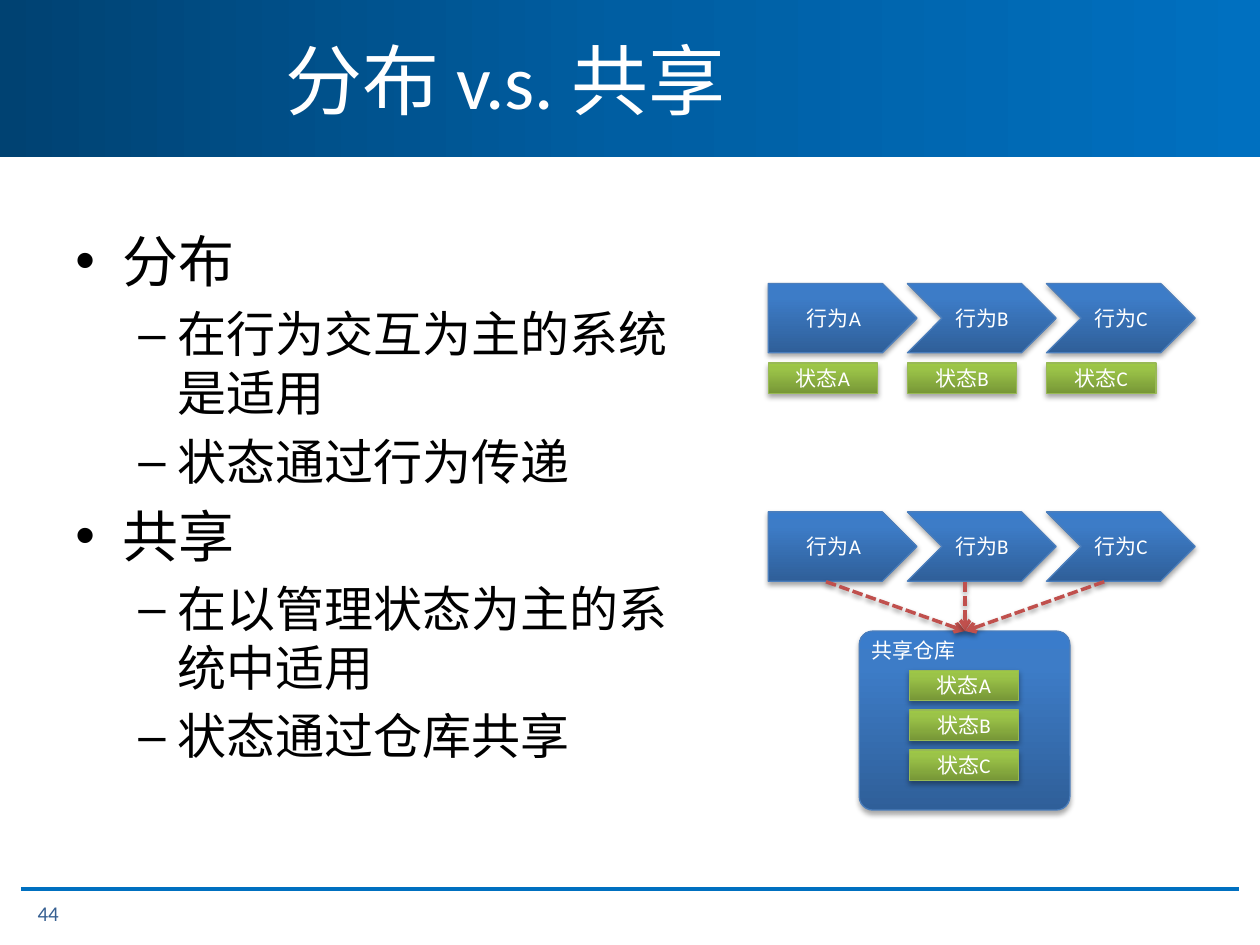
import pptx
import pptx.util
import pptx.oxml
import pptx.oxml.ns
import pptx.dml.color
import pptx.enum.dml
import pptx.enum.shapes
import pptx.enum.text

Pt = pptx.util.Pt
Kind = pptx.enum.shapes.MSO_SHAPE
Align = pptx.enum.text.PP_ALIGN
Anchor = pptx.enum.text.MSO_ANCHOR
SPACE = pptx.oxml.ns.nsdecls("a")


def hue(code):
    return pptx.dml.color.RGBColor.from_string(code)


def node(tag, attrs="", inner=""):
    return pptx.oxml.parse_xml(f"<a:{tag} {SPACE} {attrs}>{inner}</a:{tag}>")


def adjust(item, values):
    for name, value in values.items():
        setattr(item, name, value)


class Board:
    font = "Calibri"
    blue = [(0, "2F5F99"), (80, "3D7CC7"), (100, "3A7CCB")]
    green = [(0, "779737"), (80, "9BC348"), (100, "9DC746")]
    bar = [(0, "004272"), (50, "005EA2"), (100, "0070C0")]

    def __init__(self, slide):
        self.slide = slide

    def shade(self, shape, alpha, dist):
        effect = node("effectLst")
        effect.append(node(
            "outerShdw",
            f'blurRad="{Pt(3.1)}" dist="{Pt(dist)}" dir="5400000" rotWithShape="0"',
            f'<a:srgbClr val="000000"><a:alpha val="{alpha * 1000}"/></a:srgbClr>'))
        props = shape.element.spPr
        for old in props.findall(pptx.oxml.ns.qn("a:effectLst")):
            props.remove(old)
        props.append(effect)

    def label(self, shape, rows, size, color, align=Align.LEFT, anchor=Anchor.TOP):
        frame = shape.text_frame
        adjust(frame, {"word_wrap": True, "vertical_anchor": anchor})
        for place, text in enumerate(rows):
            para = frame.paragraphs[0] if place == 0 else frame.add_paragraph()
            para.alignment = align
            run = para.add_run()
            run.text = text
            adjust(run.font, {"name": self.font, "size": Pt(size)})
            run.font.color.rgb = hue(color)
        return frame

    def text(self, box, rows, size, color, anchor=Anchor.TOP):
        shape = self.slide.shapes.add_textbox(*map(Pt, box))
        return self.label(shape, rows, size, color, anchor=anchor)

    def shape(self, kind, box, stops, angle=270, line=None, text=None):
        shape = self.slide.shapes.add_shape(kind, *map(Pt, box))
        shape.shadow.inherit = False
        shape.fill.gradient()
        grad = shape.element.spPr.find(pptx.oxml.ns.qn("a:gradFill"))
        grad.clear()
        grad.append(node("gsLst", inner="".join(
            f'<a:gs pos="{spot * 1000}"><a:srgbClr val="{code}"/></a:gs>'
            for spot, code in stops)))
        grad.append(node("lin", f'ang="{angle * 60000}" scaled="0"'))
        if line:
            shape.line.color.rgb = hue(line)
            shape.line.width = Pt(0.75)
            self.shade(shape, 35, 1.8)
        else:
            shape.line.fill.background()
        if text:
            self.label(shape, [text], 12, "FFFFFF", Align.CENTER, Anchor.MIDDLE)
        return shape

    def step(self, kind, left, top, text):
        self.shape(kind, (left, top, 85, 39.6), self.blue, line="4B7EBC", text=text)

    def state(self, left, top, text):
        self.shape(Kind.RECTANGLE, (left, top, 62.6, 17.3), self.green,
                   line="98B955", text=text)

    def line(self, ends, color, width, arrow=False):
        link = self.slide.shapes.add_connector(
            pptx.enum.shapes.MSO_CONNECTOR.STRAIGHT, *map(Pt, ends))
        link.line.color.rgb = hue(color)
        link.line.width = Pt(width)
        if arrow:
            link.line.dash_style = pptx.enum.dml.MSO_LINE.SQUARE_DOT
            link.element.spPr.find(pptx.oxml.ns.qn("a:ln")).append(
                node("tailEnd", 'type="arrow"'))
            self.shade(link, 38, 1.6)
        else:
            link.element.spPr.append(node("effectLst"))

    def points(self, box, items):
        frame = self.text(box, [text for _, text in items], 32, "000000")
        levels = [(32, 27, 27, "•"), (28, 58.5, 22.5, "–")]
        for para, (level, _) in zip(frame.paragraphs, items):
            size, left, hang, mark = levels[level]
            para.level = level
            para.runs[0].font.size = Pt(size)
            props = para._p.get_or_add_pPr()
            props.set("marL", str(Pt(left)))
            props.set("indent", str(-Pt(hang)))
            props.append(node("spcBef", inner='<a:spcPct val="20000"/>'))
            props.append(node("buFont", 'typeface="Arial"'))
            props.append(node("buChar", f'char="{mark}"'))


deck = pptx.Presentation()
adjust(deck, {"slide_width": Pt(720), "slide_height": Pt(540)})
board = Board(deck.slides.add_slide(deck.slide_layouts[6]))

board.shape(Kind.RECTANGLE, (0, 0, 720, 90), board.bar, angle=0)
board.line((12, 508, 708, 508), "0070C0", 2.25)
store = board.shape(Kind.ROUNDED_RECTANGLE, (491, 360.6, 120.4, 102.3),
                    board.blue, line="4B7EBC")
store.adjustments[0] = 0.076

board.text((156, 0, 564, 90), ["分布 v.s. 共享"], 44, "FFFFFF", Anchor.MIDDLE)
board.points((36, 126, 369.4, 356.4), [
    (0, "分布"),
    (1, "在行为交互为主的系统是适用"),
    (1, "状态通过行为传递"),
    (0, "共享"),
    (1, "在以管理状态为主的系统中适用"),
    (1, "状态通过仓库共享"),
])
board.text((14.4, 507.6, 79.2, 28.8), ["44"], 12, "376092", Anchor.MIDDLE)

names = "ABC"
lefts = [439 + 79.5 * col for col in range(3)]
for top in (162, 292.5):
    for name, left in zip(names, lefts):
        kind = Kind.PENTAGON if name == "A" else Kind.CHEVRON
        board.step(kind, left, top, "行为" + name)
for row, (name, left) in enumerate(zip(names, lefts)):
    board.state(left, 207.5, "状态" + name)
    board.state(519.6, 383 + 22.8 * row, "状态" + name)

board.text((491, 360.6, 67.7, 21.6), ["共享仓库"], 12, "FFFFFF")
for left in lefts:
    board.line((left + 33, 332.4, 551.5, 360.6), "C0504D", 2, arrow=True)

deck.save("out.pptx")
